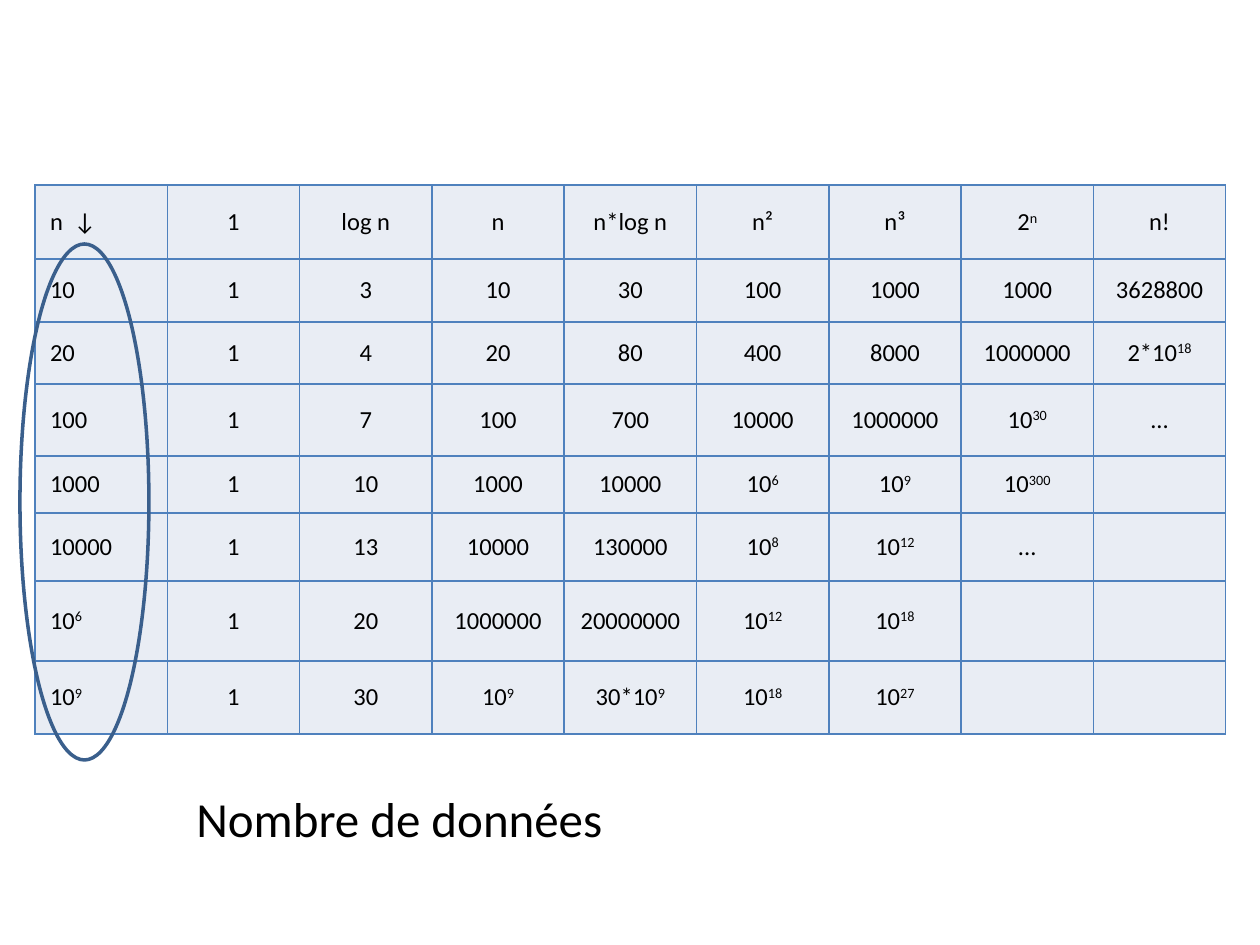
from lxml.etree import SubElement
from pptx import Presentation
from pptx.dml.color import RGBColor
from pptx.enum.shapes import MSO_SHAPE
from pptx.enum.text import MSO_ANCHOR, MSO_AUTO_SIZE, PP_ALIGN
from pptx.oxml.ns import qn
from pptx.util import Emu, Pt

PX_PER_INCH = 126
FONT = "Calibri"
COLORS = {"text": "000000", "cell": "E9EDF4", "grid": "4F81BD", "ring": "3A5F8C"}
ROW_HEIGHTS = [74, 63, 62, 72, 57, 68, 80, 73]
GROWTH = [
    ["n  ↓", "1", "log n", "n", "n*log n", "n²", "n³", "2^n", "n!"],
    ["10", "1", "3", "10", "30", "100", "1000", "1000", "3628800"],
    ["20", "1", "4", "20", "80", "400", "8000", "1000000", "2*10^18"],
    ["100", "1", "7", "100", "700", "10000", "1000000", "10^30", "..."],
    ["1000", "1", "10", "1000", "10000", "10^6", "10^9", "10^300", ""],
    ["10000", "1", "13", "10000", "130000", "10^8", "10^12", "...", ""],
    ["10^6", "1", "20", "1000000", "20000000", "10^12", "10^18", "", ""],
    ["10^9", "1", "30", "10^9", "30*10^9", "10^18", "10^27", "", ""],
]


def px(length):
    """Turn px into EMU."""
    return Emu(round(length * 914400 / PX_PER_INCH))


def rgb(name):
    """Look up a named colour."""
    return RGBColor.from_string(COLORS[name])


def style_font(paragraph, size):
    """Set the common font of a paragraph."""
    paragraph.font.name = FONT
    paragraph.font.size = Pt(size)
    paragraph.font.color.rgb = rgb("text")


def add_borders(cell):
    """Draw a thin grid line on all four sides of a cell."""
    properties = cell._tc.get_or_add_tcPr()
    for side in ("lnL", "lnR", "lnT", "lnB"):
        border = SubElement(properties, qn(f"a:{side}"), w=str(Pt(1)))
        fill = SubElement(border, qn("a:solidFill"))
        SubElement(fill, qn("a:srgbClr"), val=COLORS["grid"])


def fill_cell(cell, value, alignment):
    """Style a cell and write its value, raising what follows a caret."""
    add_borders(cell)
    cell.fill.solid()
    cell.fill.fore_color.rgb = rgb("cell")
    cell.vertical_anchor = MSO_ANCHOR.MIDDLE
    cell.margin_left = cell.margin_right = px(15)
    cell.margin_top = cell.margin_bottom = 0
    paragraph = cell.text_frame.paragraphs[0]
    paragraph.alignment = alignment
    paragraph.space_after = Pt(12)
    style_font(paragraph, 14)
    base, _, exponent = value.partition("^")
    if base:
        paragraph.add_run().text = base
    if exponent:
        raised = paragraph.add_run()
        raised.text = exponent
        raised._r.get_or_add_rPr().set("baseline", "30000")


def add_growth_table(slide, left, top, width):
    """Build the table of operation counts per complexity class."""
    column_count = len(GROWTH[0])
    table = slide.shapes.add_table(
        len(GROWTH), column_count, px(left), px(top), px(width), px(sum(ROW_HEIGHTS))
    ).table
    table.first_row = table.horz_banding = False
    for column in table.columns:
        column.width = px(width / column_count)
    for r, (height, values) in enumerate(zip(ROW_HEIGHTS, GROWTH)):
        table.rows[r].height = px(height)
        for c, value in enumerate(values):
            fill_cell(table.cell(r, c), value, PP_ALIGN.CENTER if c else PP_ALIGN.LEFT)


def add_size_ring(slide, left, top, width, height):
    """Circle the column of data sizes."""
    ring = slide.shapes.add_shape(
        MSO_SHAPE.OVAL, px(left), px(top), px(width), px(height)
    )
    ring.shadow.inherit = False
    ring.fill.background()
    ring.line.color.rgb = rgb("ring")
    ring.line.width = Pt(2)


def add_caption(slide, left, top, width, height):
    """Name what the ring marks."""
    frame = slide.shapes.add_textbox(
        px(left), px(top), px(width), px(height)
    ).text_frame
    frame.word_wrap = False
    frame.auto_size = MSO_AUTO_SIZE.SHAPE_TO_FIT_TEXT
    caption = frame.paragraphs[0]
    style_font(caption, 28)
    caption.add_run().text = "Nombre de données"


def main():
    """Build the slide and save it."""
    presentation = Presentation()
    presentation.slide_width = px(1260)
    presentation.slide_height = px(945)
    slide = presentation.slides.add_slide(presentation.slide_layouts[6])
    add_growth_table(slide, 35, 185, 1191)
    add_size_ring(slide, 20, 244, 129, 516)
    add_caption(slide, 184, 782, 436, 72)
    presentation.save("out.pptx")


if __name__ == "__main__":
    main()
